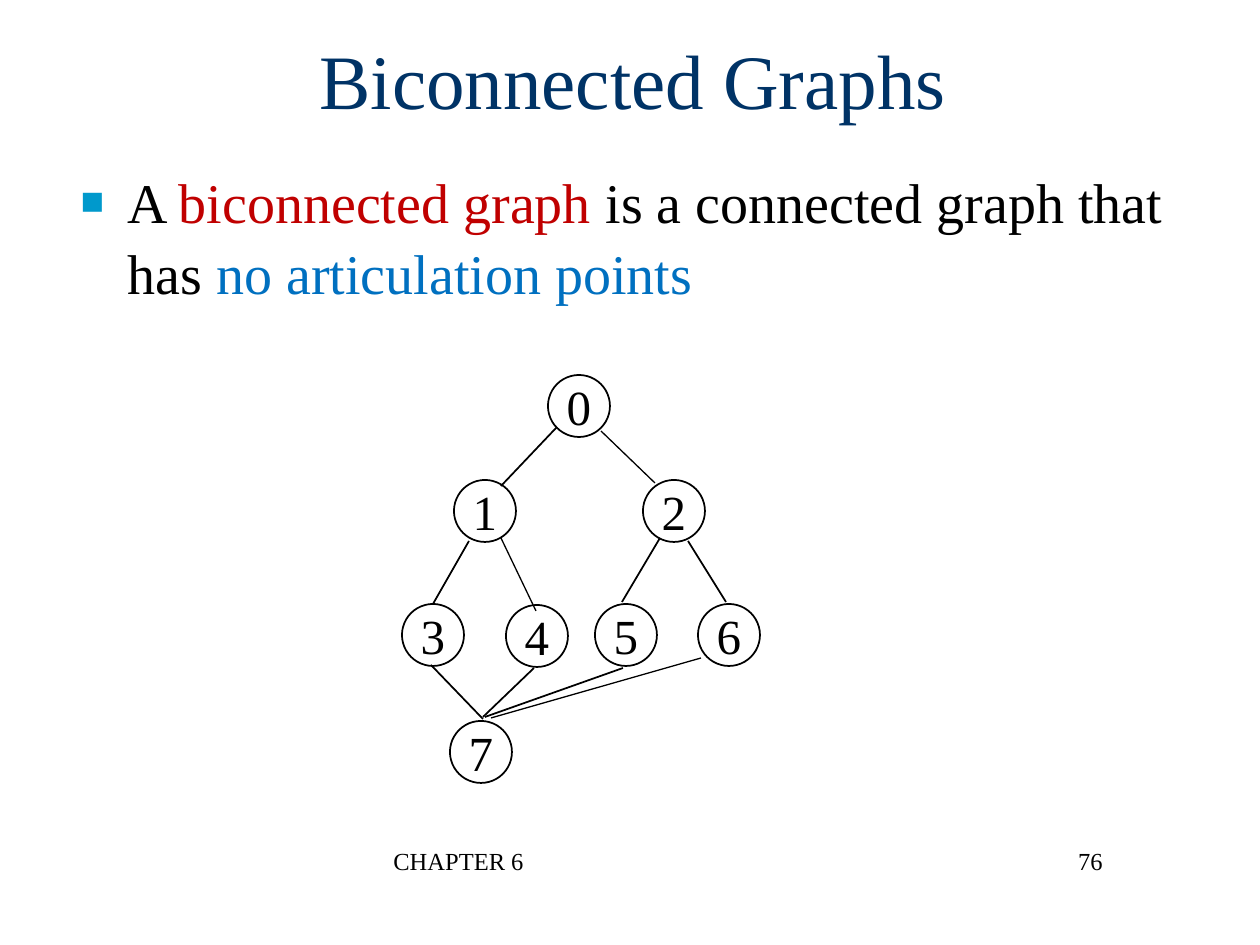
from lxml.etree import SubElement
from pptx import Presentation
from pptx.dml.color import RGBColor
from pptx.enum.shapes import MSO_CONNECTOR as Connector, MSO_SHAPE as Shape
from pptx.enum.text import MSO_ANCHOR as Anchor, MSO_AUTO_SIZE as AutoSize, PP_ALIGN as Align
from pptx.oxml.ns import qn
from pptx.util import Emu, Pt

FONT = "Times New Roman"
BLACK, WHITE, NAVY = "000000", "FFFFFF", "003366"
RED, BLUE, CYAN = "C00000", "0070C0", "0099CC"
NODE_SIZE = 62
NODES = [
    ("0", 548, 375), ("1", 454, 480), ("2", 643, 480), ("3", 402, 604),
    ("4", 506, 605), ("5", 595, 604), ("6", 698, 604), ("7", 450, 721),
]
EDGES = [
    (557, 427, 501, 486, 1), (469, 541, 433, 604, 1),
    (660, 538, 622, 602, 1), (688, 541, 726, 602, 1),
    (431, 665, 483, 719, 1), (483, 717, 534, 668, 1),
    (485, 717, 623, 668, 1), (601, 431, 655, 483, 0.75),
    (501, 538, 536, 611, 0.75), (491, 718, 701, 658, 0.75),
]


def px(value):
    return Emu(round(value * 914400 / 126))


def color(code):
    return RGBColor.from_string(code)


def place(box, left, top, width, height):
    box.left, box.top = px(left), px(top)
    box.width, box.height = px(width), px(height)


def add_span(para, text, size, code=BLACK):
    span = para.add_run()
    span.text = text
    span.font.name, span.font.size = FONT, Pt(size)
    span.font.color.rgb = color(code)


def add_bullet(para):
    props = para._p.get_or_add_pPr()
    props.set("marL", str(px(47)))
    props.set("indent", str(px(-47)))
    tint = SubElement(props, qn("a:buClr"))
    SubElement(tint, qn("a:srgbClr"), val=CYAN)
    SubElement(props, qn("a:buSzPct"), val="70000")
    SubElement(props, qn("a:buFont"), typeface=FONT)
    SubElement(props, qn("a:buChar"), char="■")


def fill_title(box):
    place(box, 68, 0, 1130, 158)
    frame = box.text_frame
    frame.auto_size, frame.vertical_anchor = AutoSize.NONE, Anchor.MIDDLE
    para = frame.paragraphs[0]
    para.alignment = Align.CENTER
    add_span(para, "Biconnected Graphs", 44, NAVY)


def fill_body(box):
    place(box, 68, 158, 1130, 666)
    frame = box.text_frame
    frame.auto_size, frame.vertical_anchor = AutoSize.NONE, Anchor.TOP
    para = frame.paragraphs[0]
    add_bullet(para)
    para.space_before, para.line_spacing = Pt(0), 1.05
    for text, code in [
        ("A ", BLACK), ("biconnected graph ", RED),
        ("is a connected graph that has ", BLACK), ("no articulation points", BLUE),
    ]:
        add_span(para, text, 32, code)


def add_footer(page, text, left, width, align):
    box = page.shapes.add_textbox(px(left), px(840), px(width), px(63))
    box.text_frame.word_wrap = True
    para = box.text_frame.paragraphs[0]
    para.alignment = align
    add_span(para, text, 14)


def add_node(page, label, left, top):
    node = page.shapes.add_shape(
        Shape.OVAL, px(left), px(top), px(NODE_SIZE), px(NODE_SIZE))
    node.shadow.inherit = False
    node.fill.solid()
    node.fill.fore_color.rgb = color(WHITE)
    node.line.color.rgb, node.line.width = color(BLACK), Pt(1)
    frame = node.text_frame
    frame.word_wrap, frame.vertical_anchor = False, Anchor.MIDDLE
    para = frame.paragraphs[0]
    para.alignment = Align.CENTER
    add_span(para, label, 28)


def add_edge(page, x1, y1, x2, y2, weight):
    edge = page.shapes.add_connector(
        Connector.STRAIGHT, px(x1), px(y1), px(x2), px(y2))
    edge.line.color.rgb, edge.line.width = color(BLACK), Pt(weight)
    SubElement(edge._element.spPr, qn("a:effectLst"))


def main():
    deck = Presentation()
    deck.slide_width, deck.slide_height = px(1260), px(945)
    page = deck.slides.add_slide(deck.slide_layouts[1])
    fill_title(page.shapes.title)
    fill_body(page.placeholders[1])
    add_footer(page, "CHAPTER 6", 381, 399, Align.LEFT)
    add_footer(page, "76", 853, 262, Align.RIGHT)
    for node in NODES:
        add_node(page, *node)
    for edge in EDGES:
        add_edge(page, *edge)
    deck.save("out.pptx")


if __name__ == "__main__":
    main()
